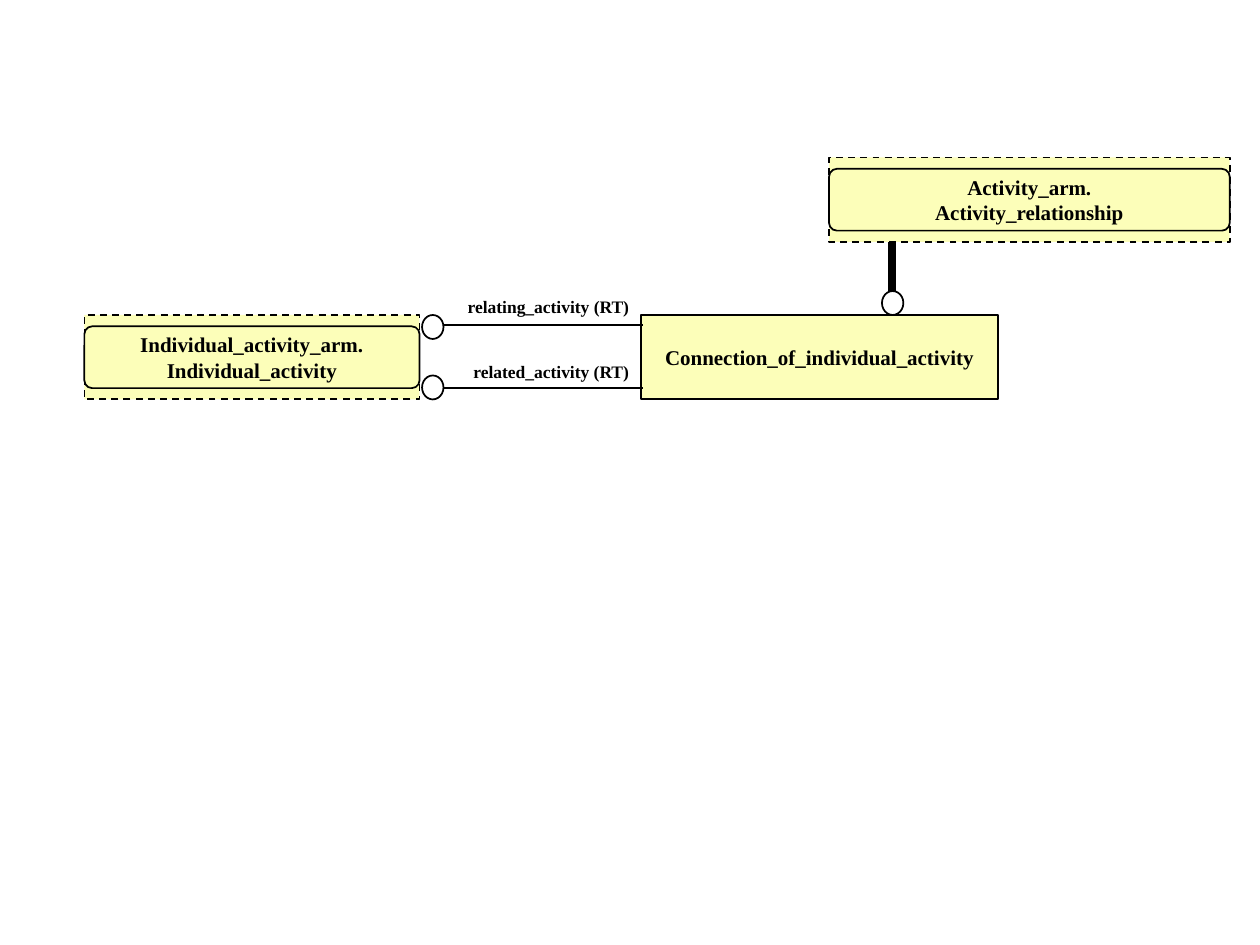
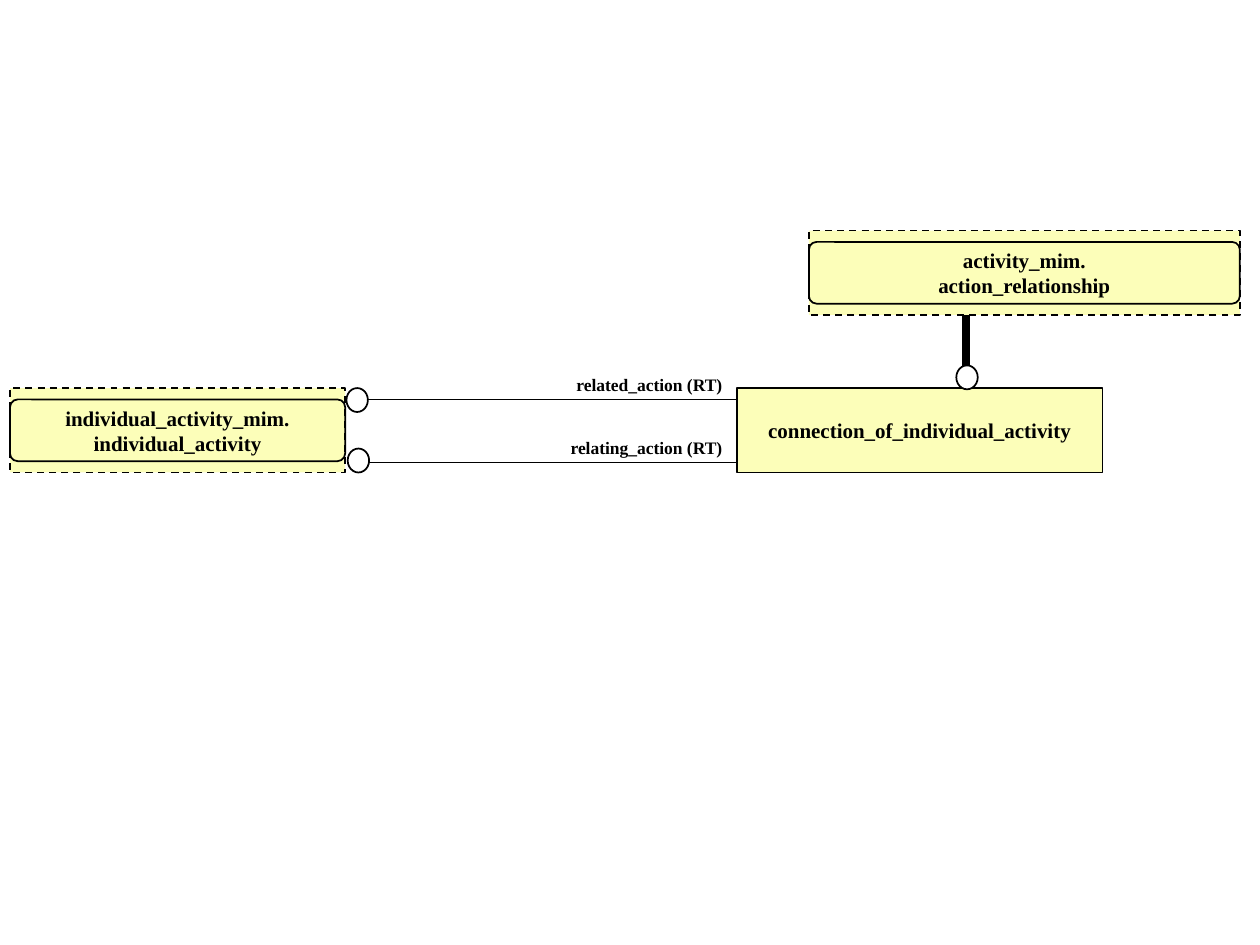
from lxml import etree
from pptx import Presentation
from pptx.dml.color import RGBColor
from pptx.enum import dml, shapes, text
from pptx.oxml.ns import qn
from pptx.util import Inches, Pt

BLACK, WHITE, YELLOW = "000000", "FFFFFF", "FCFEB9"
BOX_HEIGHT = 0.67
FRAME_INSET, FRAME_HEIGHT = 0.09, 0.49
CIRCLE_WIDTH, CIRCLE_HEIGHT = 0.17, 0.19
ROLE_GAP = 0.5
BLANK_LAYOUT = 6
KIND = shapes.MSO_SHAPE

# Boxes: left, top, width, lines. Roles: label, label left, label top, circle left, circle top.
DIAGRAMS = [
    {
        "references": [
            (0.67, 2.5, 2.66, ["Individual_activity_arm.", "Individual_activity"]),
            (6.58, 1.25, 3.18, ["Activity_arm.", "Activity_relationship"]),
        ],
        "entity": (5.09, 2.5, 2.83, ["Connection_of_individual_activity"]),
        "roles": [
            ("relating_activity (RT)", 2.62, 2.3, 3.35, 2.5),
            ("related_activity (RT)", 3.65, 2.82, 3.35, 2.98),
        ],
        "label_right": 5.09,
        "role_line": (3.51, 5.1, 2.58),
        "subtype": (7.08, 1.92, 2.31),
    },
    {
        "references": [
            (0.08, 3.08, 2.66, ["individual_activity_mim.", "individual_activity"]),
            (6.42, 1.83, 3.42, ["activity_mim.", "action_relationship"]),
        ],
        "entity": (5.85, 3.08, 2.9, ["connection_of_individual_activity"]),
        "roles": [
            ("related_action (RT)", 3, 2.92, 2.75, 3.08),
            ("relating_action (RT)", 4.42, 3.42, 2.76, 3.56),
        ],
        "label_right": 5.83,
        "role_line": (2.92, 5.86, 3.17),
        "subtype": (7.67, 2.5, 2.9),
    },
]


def add_outline(parent, kind, place, fill=None, dashed=False, lines=()):
    """Add an outlined shape, with centred bold text when lines are given."""
    box = parent.shapes.add_shape(kind, *map(Inches, place))
    box.shadow.inherit = False
    if fill:
        box.fill.solid()
        box.fill.fore_color.rgb = RGBColor.from_string(fill)
    else:
        box.fill.background()
    box.line.color.rgb = RGBColor.from_string(BLACK)
    box.line.width = Pt(1)
    if dashed:
        box.line.dash_style = dml.MSO_LINE.DASH
    if lines:
        write(box.text_frame, lines, 12, text.PP_ALIGN.CENTER)
        box.text_frame.word_wrap = False
        box.text_frame.vertical_anchor = text.MSO_ANCHOR.MIDDLE
    return box


def write(frame, lines, size, alignment):
    style = {"name": "Times New Roman", "size": Pt(size), "bold": True}
    for number, line in enumerate(lines):
        para = frame.paragraphs[0] if number == 0 else frame.add_paragraph()
        para.alignment = alignment
        span = para.add_run()
        span.text = line
        for name, value in style.items():
            setattr(span.font, name, value)
        span.font.color.rgb = RGBColor.from_string(BLACK)


deck = Presentation()
deck.slide_width, deck.slide_height = Inches(10), Inches(7.5)

for diagram in DIAGRAMS:
    page = deck.slides.add_slide(deck.slide_layouts[BLANK_LAYOUT])

    for left, top, width, lines in diagram["references"]:
        group = page.shapes.add_group_shape()
        add_outline(group, KIND.RECTANGLE, (left, top, width, BOX_HEIGHT), YELLOW, True, lines)
        frame = add_outline(group, KIND.ROUNDED_RECTANGLE,
                            (left, top + FRAME_INSET, width, FRAME_HEIGHT))
        frame.adjustments[0] = 0.125

    left, top, width, lines = diagram["entity"]
    add_outline(page, KIND.RECTANGLE, (left, top, width, BOX_HEIGHT), YELLOW, lines=lines)

    start, end, first = diagram["role_line"]
    stem, stem_top, stem_circle_top = diagram["subtype"]
    links = [(start, first + row * ROLE_GAP, end, first + row * ROLE_GAP, 1) for row in range(2)]
    links.append((stem, stem_top, stem, stem_top + 0.42, 4.5))
    for *ends, weight in links:
        link = page.shapes.add_connector(shapes.MSO_CONNECTOR.STRAIGHT, *map(Inches, ends))
        link.line.color.rgb = RGBColor.from_string(BLACK)
        link.line.width = Pt(weight)
        etree.SubElement(link._element.spPr, qn("a:effectLst"))

    circles = [role[3:] for role in diagram["roles"]]
    circles.append((stem - 0.08, stem_circle_top))
    for left, top in circles:
        add_outline(page, KIND.OVAL, (left, top, CIRCLE_WIDTH, CIRCLE_HEIGHT), WHITE)

    for label, left, top, *_ in diagram["roles"]:
        width = diagram["label_right"] - left
        box = page.shapes.add_textbox(*map(Inches, (left, top, width, 0.27)))
        box.text_frame.word_wrap = left < 3.5
        box.text_frame.auto_size = text.MSO_AUTO_SIZE.SHAPE_TO_FIT_TEXT
        write(box.text_frame, [label], 10, text.PP_ALIGN.RIGHT)

deck.save("out.pptx")
